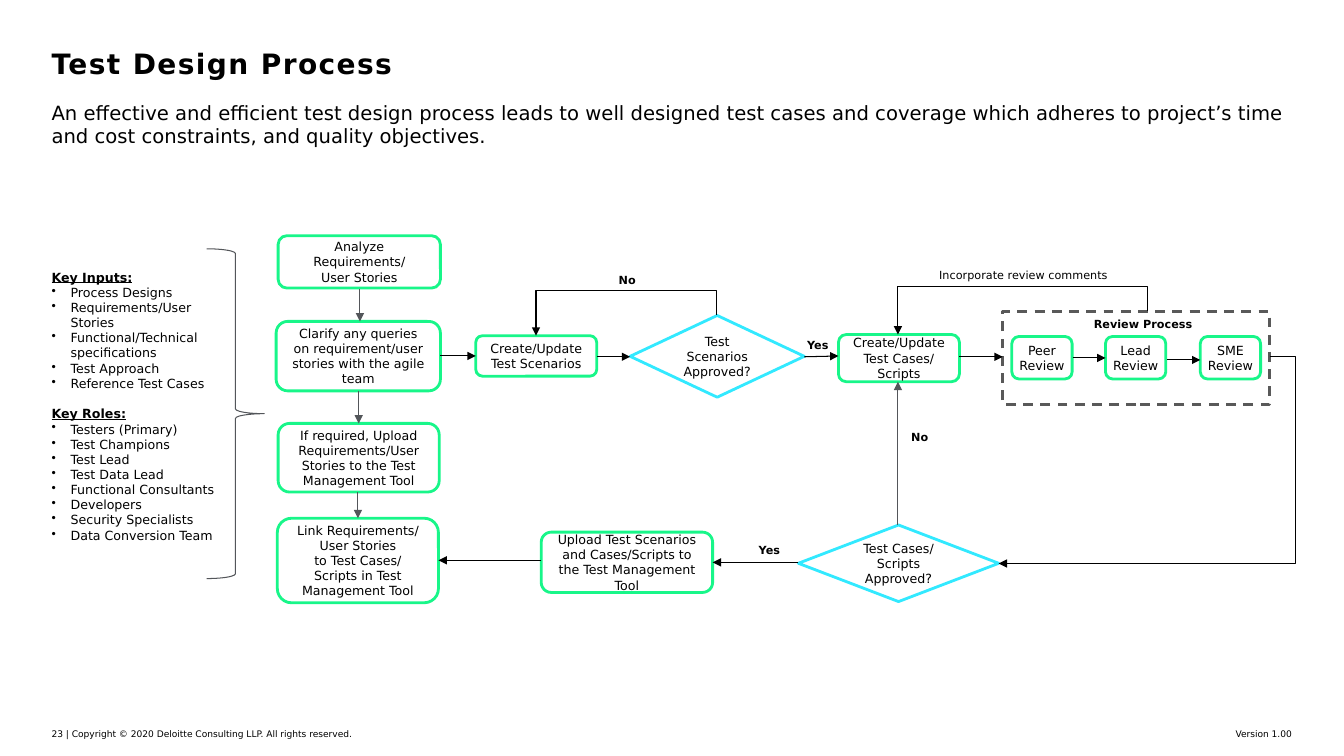
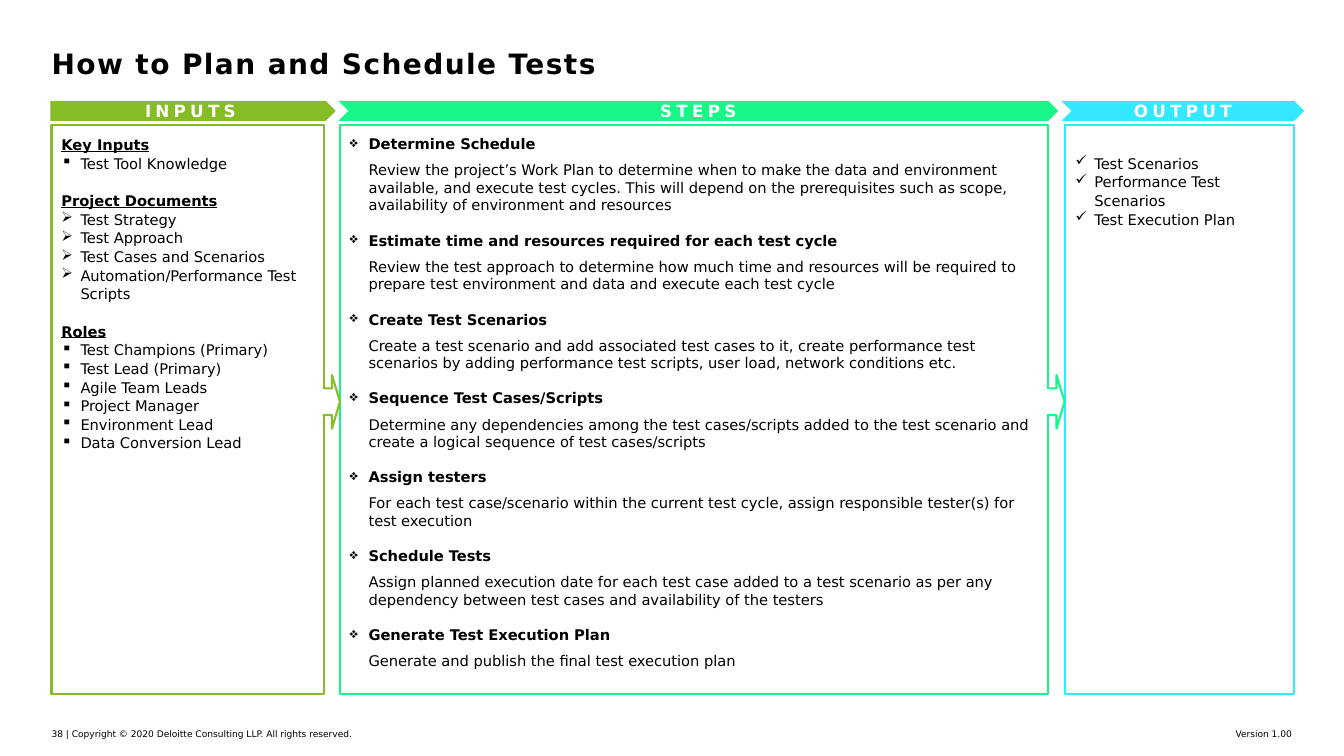
"""Build two slides: a test design flowchart and a test planning overview."""
import lxml.etree
import pptx
import pptx.dml.color
import pptx.enum.dml
import pptx.enum.shapes
import pptx.enum.text
import pptx.oxml.ns
import pptx.util

Cm = pptx.util.Cm
Pt = pptx.util.Pt
qn = pptx.oxml.ns.qn
KIND = pptx.enum.shapes.MSO_SHAPE
ALIGN = pptx.enum.text.PP_ALIGN
ANCHOR = pptx.enum.text.MSO_ANCHOR
HUES = {"black": "000000", "white": "FFFFFF", "mint": "18F689", "cyan": "32E9FF",
        "green": "86BC25", "gray": "53565A", "dash": "595959"}
INDENT = 0.48
MID = {"alignment": ALIGN.CENTER}


def put(page, kind, at, text=(), fill=None, line=None, width=2, size=9, hue="black", bold=False,
        space=0, para=None, pad=(0, 0, 0, 0), anchor=ANCHOR.MIDDLE, wrap=True):
    """Place a shape, a text box or the title, and write its paragraphs."""
    if kind == "title":
        shape = page.shapes.title
    elif kind == "text":
        shape = page.shapes.add_textbox(*map(Cm, at))
    else:
        shape = page.shapes.add_shape(kind, *map(Cm, at))
        shape.shadow.inherit = False
        if fill:
            shape.fill.solid()
            shape.fill.fore_color.rgb = pptx.dml.color.RGBColor.from_string(HUES[fill])
        else:
            shape.fill.background()
        if line:
            shape.line.color.rgb = pptx.dml.color.RGBColor.from_string(HUES[line])
            shape.line.width = Pt(width)
        else:
            shape.line.fill.background()
    frame = shape.text_frame
    left, top, right, bottom = map(Cm, pad)
    form = {"margin_left": left, "margin_top": top, "margin_right": right, "margin_bottom": bottom,
            "word_wrap": wrap, "vertical_anchor": anchor,
            "auto_size": pptx.enum.text.MSO_AUTO_SIZE.NONE}
    for key, value in form.items():
        setattr(frame, key, value)
    if isinstance(text, str):
        text = [(part, {}) for part in text.split("\n")]
    for spot, (words, look) in enumerate(text):
        item = frame.add_paragraph() if spot else frame.paragraphs[0]
        if "left" in look:
            props = item._p.get_or_add_pPr()
            props.set("marL", str(Cm(look["left"])))
            props.set("indent", str(Cm(look.get("hang", 0))))
            if "mark" in look:
                lxml.etree.SubElement(props, qn("a:buChar")).set("char", look["mark"])
        for key, value in {**(para or {}), **look.get("para", {})}.items():
            if spot or key != "space_before":
                setattr(item, key, value)
        run = item.add_run()
        run.text = words
        font = {"name": "DejaVu Sans", "size": Pt(size), "bold": bold, **look.get("font", {})}
        for key, value in font.items():
            setattr(run.font, key, value)
        run.font.color.rgb = pptx.dml.color.RGBColor.from_string(HUES[hue])
        if space:
            run._r.get_or_add_rPr().set("spc", str(space * 100))
    return shape


def link(page, start, end, hue="black", width=0.75, head=True, rail=None, turn=False):
    """Join two points; a rail bends the line, and turn makes the rail level."""
    (x1, y1), (x2, y2) = start, end
    if turn:
        midx, midy = (x1 + x2) / 2, (y1 + y2) / 2
        halfw, halfh = abs(y2 - y1) / 2, abs(x2 - x1) / 2
        start, end = (midx + halfw, midy + halfh), (midx - halfw, midy - halfh)
    types = pptx.enum.shapes.MSO_CONNECTOR
    wire = page.shapes.add_connector(types.ELBOW if rail else types.STRAIGHT,
                                     *map(Cm, (*start, *end)))
    wire.line.color.rgb = pptx.dml.color.RGBColor.from_string(HUES[hue])
    wire.line.width = Pt(width)
    props = wire._element.spPr
    if rail:
        share = (rail - y1) / (y2 - y1) if turn else (rail - x1) / (x2 - x1)
        guide = lxml.etree.SubElement(props.find(".//" + qn("a:avLst")), qn("a:gd"))
        guide.set("name", "adj1")
        guide.set("fmla", f"val {round(share * 100000)}")
    if turn:
        props.find(qn("a:xfrm")).set("rot", "16200000")
    if head:
        lxml.etree.SubElement(props.find(qn("a:ln")), qn("a:tailEnd")).set("type", "triangle")
    lxml.etree.SubElement(props, qn("a:effectLst"))


deck = pptx.Presentation()
deck.slide_width, deck.slide_height = Cm(33.87), Cm(19.05)
layout = deck.slide_layouts[5]
place = {"left": 1.3, "top": 1.12, "width": 31.27, "height": 0.94}
for key, value in place.items():
    setattr(layout.placeholders[0], key, Cm(value))

pages = []
for number, title in ((23, "Test Design Process"), (38, "How to Plan and Schedule Tests")):
    page = deck.slides.add_slide(layout)
    put(page, "title", None, title, size=20, bold=True, space=1, para={"alignment": ALIGN.LEFT})
    put(page, "text", (1.3, 18.36, 14.88, 0.28),
        f"{number} | Copyright © 2020 Deloitte Consulting LLP. All rights reserved.", size=6.5)
    put(page, "text", (24.69, 18.36, 7.87, 0.28), "Version 1.00", size=6.5,
        para={"alignment": ALIGN.RIGHT})
    pages.append(page)
flow, plan = pages

put(flow, "text", (1.3, 2.54, 31.19, 1.12),
    "An effective and efficient test design process leads to well designed test cases and "
    "coverage which adheres to project’s time and cost constraints, and quality objectives.",
    size=14, anchor=ANCHOR.TOP)

heads = {"font": {"bold": True, "underline": True}}
dot = {"mark": "•", "left": INDENT, "hang": -INDENT}
groups = {
    "Key Inputs:": ("Process Designs", "Requirements/User Stories",
                    "Functional/Technical specifications", "Test Approach",
                    "Reference Test Cases"),
    "Key Roles:": ("Testers (Primary)", "Test Champions", "Test Lead", "Test Data Lead",
                   "Functional Consultants", "Developers", "Security Specialists",
                   "Data Conversion Team"),
}
notes = []
for name, items in groups.items():
    notes.append((name, {**heads, "para": {"space_before": Pt(11)}}))
    notes += [(item, dot) for item in items]
put(flow, "text", (1.3, 6.68, 4.24, 7.11), notes)
put(flow, KIND.RIGHT_BRACE, (5.21, 6.27, 1.45, 8.31), line="gray", width=0.75)
review = put(flow, KIND.RECTANGLE, (25.27, 7.85, 6.73, 2.34), line="dash", width=1.75)
review.line.dash_style = pptx.enum.dml.MSO_LINE.DASH

boxes = (
    ((7.01, 5.94, 4.09, 1.32), "Analyze\nRequirements/\nUser Stories"),
    ((6.96, 8.1, 4.14, 1.75),
     "Clarify any queries on requirement/user stories with the agile team"),
    ((7.01, 10.67, 4.06, 1.73),
     "If required, Upload Requirements/User Stories to the Test Management Tool"),
    ((6.99, 13.06, 4.06, 2.13), "Link Requirements/ User Stories\n"
     "to Test Cases/ Scripts in Test Management Tool"),
    ((11.99, 8.46, 3.05, 1.02), "Create/Update\nTest Scenarios"),
    ((21.13, 8.43, 3.05, 1.19), "Create/Update Test Cases/ Scripts"),
    ((13.64, 13.41, 4.32, 1.52),
     "Upload Test Scenarios and Cases/Scripts to the Test Management Tool"),
    ((25.5, 8.48, 1.52, 1.07), "Peer\nReview"),
    ((27.86, 8.48, 1.52, 1.07), "Lead\nReview"),
    ((30.25, 8.48, 1.52, 1.07), "SME\nReview"),
)
for at, text in boxes:
    put(flow, KIND.ROUNDED_RECTANGLE, at, text, fill="white", line="mint", para=MID,
        pad=(0.25, 0.13, 0.25, 0.13), wrap=at[2] > 2)

for at, text in (((15.88, 7.95, 4.39, 2.06), "Test Scenarios Approved?"),
                 ((20.12, 13.23, 5.05, 1.93), "Test Cases/ Scripts Approved?")):
    put(flow, KIND.FLOWCHART_DECISION, at, text, line="cyan", para=MID, pad=(0.2, 0.13, 0.2, 0.13))

labels = (
    (27.25, 7.85, 3.12, "Review Process", True),
    (20.04, 8.38, 1.14, "Yes", True),
    (15.29, 6.76, 1.04, "No", True),
    (22.66, 10.72, 1.04, "No", True),
    (18.77, 13.56, 1.24, "Yes", True),
    (23.27, 6.63, 5.05, "Incorporate review comments", False),
)
for left, top, width, text, bold in labels:
    put(flow, "text", (left, top, width, 0.61), text, size=8, bold=bold, para=MID)

wires = {
    "black": (((11.1, 8.97), (11.99, 8.97)), ((15.04, 8.99), (15.88, 8.99)),
              ((20.27, 8.99), (21.13, 8.97)), ((24.18, 8.99), (25.27, 8.99)),
              ((27.03, 9.02), (27.86, 9.02)), ((29.41, 9.07), (30.25, 9.07)),
              ((20.12, 14.17), (17.96, 14.17)), ((13.64, 14.12), (11.05, 14.12))),
    "gray": (((9.07, 7.27), (9.07, 8.1)), ((9.04, 9.85), (9.04, 10.67)),
             ((9.02, 12.4), (9.02, 13.06)), ((22.63, 13.23), (22.63, 9.62))),
}
for hue, pairs in wires.items():
    for start, end in pairs:
        link(flow, start, end, hue)
link(flow, (32, 8.99), (25.17, 14.2), rail=32.64)
link(flow, (18.06, 7.95), (13.51, 8.46), rail=7.32, turn=True)
link(flow, (28.91, 7.85), (22.63, 8.43), rail=7.21, turn=True)

sources = (
    ("Key Inputs", "▪", ("Test Tool Knowledge",)),
    ("Project Documents", "➢", ("Test Strategy", "Test Approach", "Test Cases and Scenarios",
                                "Automation/Performance Test Scripts")),
    ("Roles", "▪", ("Test Champions (Primary)", "Test Lead (Primary)", "Agile Team Leads",
                    "Project Manager", "Environment Lead", "Data Conversion Lead")),
)
inputs = []
for name, mark, items in sources:
    inputs.append((name, {**heads, "para": {"space_before": Pt(13.3)}}))
    inputs += [(item, {**dot, "mark": mark}) for item in items]

tasks = {
    "Determine Schedule":
        "Review the project’s Work Plan to determine when to make the data and environment "
        "available, and execute test cycles. This will depend on the prerequisites such as "
        "scope, availability of environment and resources",
    "Estimate time and resources required for each test cycle":
        "Review the test approach to determine how much time and resources will be required to "
        "prepare test environment and data and execute each test cycle",
    "Create Test Scenarios":
        "Create a test scenario and add associated test cases to it, create performance test "
        "scenarios by adding performance test scripts, user load, network conditions etc.",
    "Sequence Test Cases/Scripts":
        "Determine any dependencies among the test cases/scripts added to the test scenario and "
        "create a logical sequence of test cases/scripts",
    "Assign testers":
        "For each test case/scenario within the current test cycle, assign responsible "
        "tester(s) for test execution",
    "Schedule Tests":
        "Assign planned execution date for each test case added to a test scenario as per any "
        "dependency between test cases and availability of the testers",
    "Generate Test Execution Plan": "Generate and publish the final test execution plan",
}
steps = []
for name, detail in tasks.items():
    steps.append((name, {**dot, "mark": "❖", "font": {"bold": True},
                         "para": {"space_before": Pt(12.6), "space_after": Pt(6)}}))
    steps.append((detail, {"left": INDENT}))

output = [(item, {**dot, "mark": "✓"})
          for item in ("Test Scenarios", "Performance Test Scenarios", "Test Execution Plan")]

panels = (
    ("INPUTS", "green", KIND.PENTAGON, (1.27, 7.19), (1.3, 6.86), inputs, 0.25, 1.06),
    ("STEPS", "mint", KIND.CHEVRON, (8.53, 18.14), (8.56, 17.86), steps, 0.25, 1.0),
    ("OUTPUT", "cyan", KIND.CHEVRON, (26.75, 6.12), (26.85, 5.77), output, 0.72, 1.06),
)
for name, hue, kind, (start, span), (left, width), text, top, pitch in panels:
    put(plan, kind, (start, 2.54, span, 0.51), name, fill=hue, size=12, hue="white", bold=True,
        space=3, para=MID)
    put(plan, KIND.RECTANGLE, (left, 3.15, width, 14.35), text, line=hue, width=1.5, size=10.5,
        para={"alignment": ALIGN.LEFT, "line_spacing": pitch}, pad=(0.25, top, 0.25, 0.25),
        anchor=ANCHOR.TOP)
for name, hue, kind, band, (left, width), *rest in panels[:-1]:
    edge = left + width
    put(plan, KIND.RIGHT_ARROW, (edge, 9.45, 0.41, 1.35), line=hue, width=1.5)
    link(plan, (edge, 9.8), (edge, 10.44), "white", 2.25, head=False)

deck.save("out.pptx")
